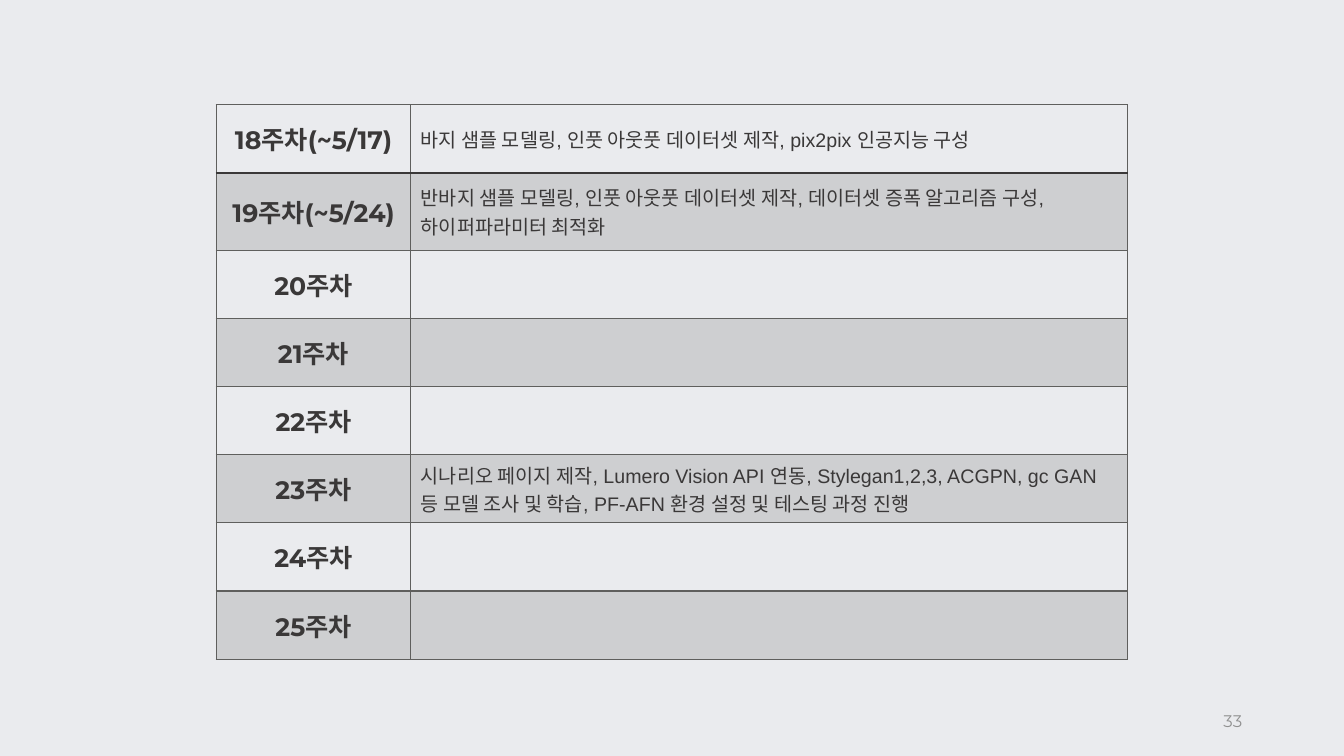
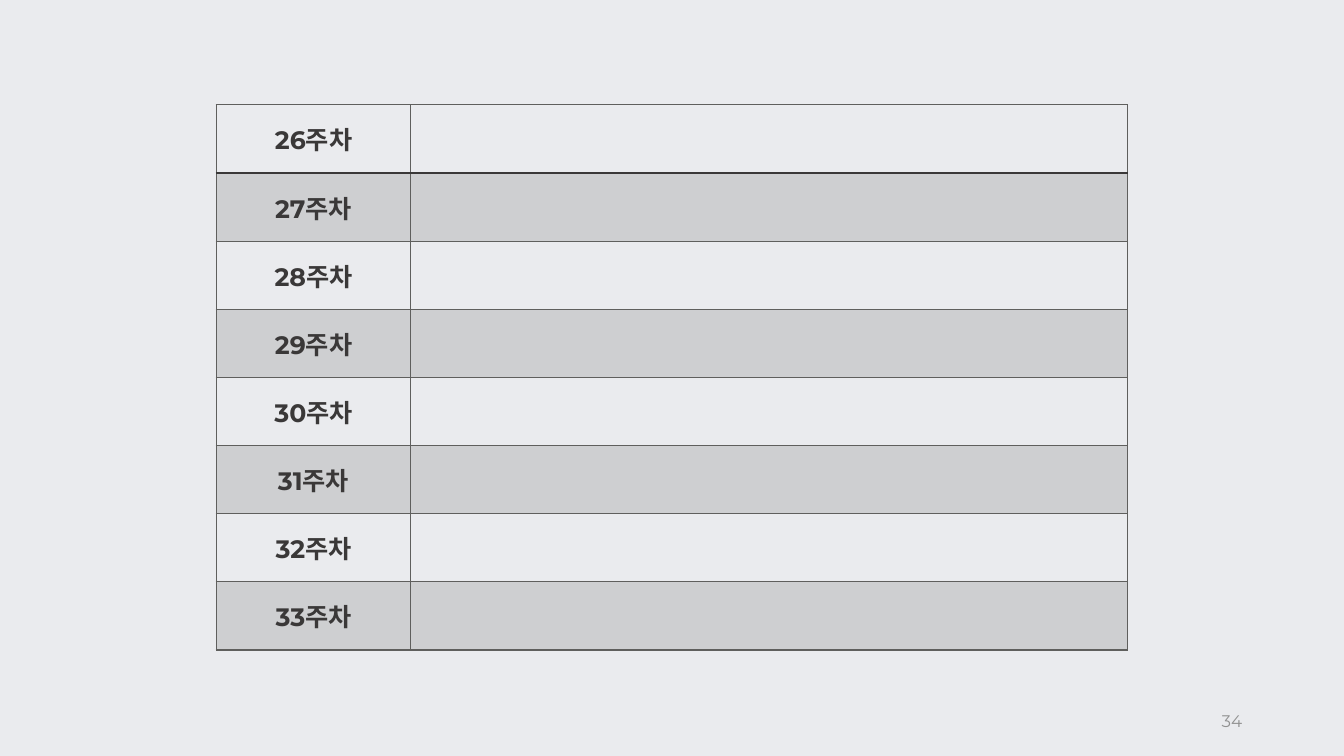
from lxml.etree import SubElement
from pptx import Presentation
from pptx.dml.color import RGBColor
from pptx.enum.text import MSO_ANCHOR, PP_ALIGN
from pptx.oxml.ns import qn
from pptx.util import Inches, Pt

BACKGROUND = RGBColor(0xEA, 0xEB, 0xEE)
INK = RGBColor(0x3A, 0x38, 0x38)
RULE = RGBColor(0x5F, 0x5F, 0x5D)
PAGE_NUMBER = RGBColor(0x91, 0x91, 0x91)
HEADING_FONT, BODY_FONT = "Montserrat", "Arial"

BLANK_LAYOUT = 6
SLIDE_WIDTH, SLIDE_HEIGHT = Inches(13.33), Inches(7.5)
COLUMN_WIDTHS = Inches(1.93), Inches(7.11)
ROW_HEIGHT = Inches(0.676)
TABLE_TOP = Inches(1.04)
BAND_OPACITY = 20
FIRST_PAGE = 33

SCHEDULES = [
    [
        ("18주차(~5/17)", "바지 샘플 모델링, 인풋 아웃풋 데이터셋 제작, pix2pix 인공지능 구성"),
        ("19주차(~5/24)", "반바지 샘플 모델링, 인풋 아웃풋 데이터셋 제작, "
                         "데이터셋 증폭 알고리즘 구성, 하이퍼파라미터 최적화"),
        ("20주차", ""),
        ("21주차", ""),
        ("22주차", ""),
        ("23주차", "시나리오 페이지 제작, Lumero Vision API 연동, "
                  "Stylegan1,2,3, ACGPN, gc GAN 등 모델 조사 및 학습, "
                  "PF-AFN 환경 설정 및 테스팅 과정 진행"),
        ("24주차", ""),
        ("25주차", ""),
    ],
    [(f"{week}주차", "") for week in range(26, 34)],
]


def write(frame, text, font_name, size, color, bold=False, align=PP_ALIGN.LEFT):
    frame.text = text
    paragraph = frame.paragraphs[0]
    paragraph.alignment = align
    for span in paragraph.runs:
        span.font.name = font_name
        span.font.size = Pt(size)
        span.font.bold = bold
        span.font.color.rgb = color


def add_borders(cell, top, bottom):
    """Draw all four sides; must run before the fill, which follows in the schema."""
    properties = cell._tc.get_or_add_tcPr()
    for side, color in (("L", RULE), ("R", RULE), ("T", top), ("B", bottom)):
        line = SubElement(properties, qn(f"a:ln{side}"), w=str(Pt(1)))
        fill = SubElement(line, qn("a:solidFill"))
        SubElement(fill, qn("a:srgbClr"), val=str(color))


def fill_band(cell):
    cell.fill.solid()
    cell.fill.fore_color.rgb = RULE
    color = cell._tc.tcPr.find(f"{qn('a:solidFill')}/{qn('a:srgbClr')}")
    SubElement(color, qn("a:alpha"), val=str(BAND_OPACITY * 1000))


def style_cell(cell, row):
    """Shade every second row and set a darker rule under the first one."""
    cell.vertical_anchor = MSO_ANCHOR.MIDDLE
    add_borders(cell, INK if row == 1 else RULE, INK if row == 0 else RULE)
    if row % 2:
        fill_band(cell)
    else:
        cell.fill.background()


def add_schedule(page, weeks):
    width = sum(COLUMN_WIDTHS)
    left = (SLIDE_WIDTH - width) // 2
    table = page.shapes.add_table(
        len(weeks), len(COLUMN_WIDTHS), left, TABLE_TOP, width, ROW_HEIGHT * len(weeks)
    ).table
    table.first_row = table.horz_banding = False
    for column, column_width in zip(table.columns, COLUMN_WIDTHS):
        column.width = column_width
    for row, (week, tasks) in enumerate(weeks):
        table.rows[row].height = ROW_HEIGHT
        week_cell, task_cell = table.cell(row, 0), table.cell(row, 1)
        write(week_cell.text_frame, week, HEADING_FONT, 18, INK, True, PP_ALIGN.CENTER)
        write(task_cell.text_frame, tasks, BODY_FONT, 14, INK)
        for cell in (week_cell, task_cell):
            style_cell(cell, row)


def add_page_number(page, number):
    box = page.shapes.add_textbox(Inches(9.42), Inches(6.95), Inches(3), Inches(0.4))
    frame = box.text_frame
    frame.word_wrap = True
    frame.vertical_anchor = MSO_ANCHOR.MIDDLE
    write(frame, str(number), HEADING_FONT, 12, PAGE_NUMBER, align=PP_ALIGN.RIGHT)


def main():
    deck = Presentation()
    deck.slide_width, deck.slide_height = SLIDE_WIDTH, SLIDE_HEIGHT
    background = deck.slide_master.background.fill
    background.solid()
    background.fore_color.rgb = BACKGROUND
    for number, weeks in enumerate(SCHEDULES, FIRST_PAGE):
        page = deck.slides.add_slide(deck.slide_layouts[BLANK_LAYOUT])
        add_schedule(page, weeks)
        add_page_number(page, number)
    deck.save("out.pptx")


if __name__ == "__main__":
    main()
